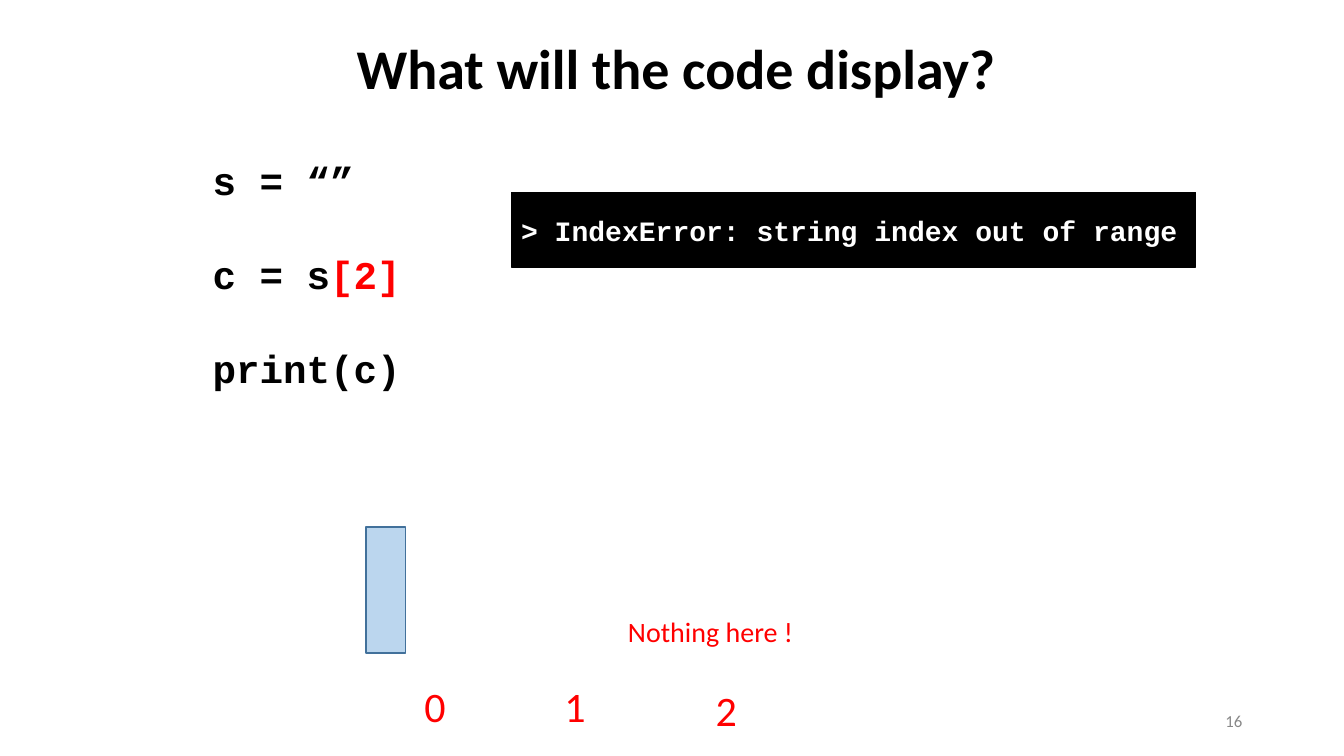
from dataclasses import dataclass

from pptx import Presentation
from pptx import util as u
from pptx.dml.color import RGBColor
from pptx.enum import shapes, text
from pptx.oxml.xmlchemy import OxmlElement

EMU_PER_PX = 9144  # 100 px to the inch


@dataclass(frozen=True)
class Theme:
    sans: str = "Calibri"
    mono: str = "Courier New"
    black: str = "000000"
    white: str = "FFFFFF"
    red: str = "FF0000"
    grey: str = "888888"
    cell_fill: str = "BBD6EE"
    cell_line: str = "42719B"
    title_size: int = 40
    index_size: int = 30
    code_size: int = 28
    note_size: int = 20
    number_size: int = 12
    code_pitch: float = 33.55


THEME = Theme()
CODE_LINES = [
    [("s = “”", THEME.black)],
    [("c = s", THEME.black), ("[2]", THEME.red)],
    [("print(c)", THEME.black)],
]
INDEX_LABELS = [("0", 411, 670), ("1", 550, 670), ("2", 700, 674)]


def px(*lengths):
    return [u.Emu(length * EMU_PER_PX) for length in lengths]


def place(placeholder, box):
    for side, length in zip(("left", "top", "width", "height"), px(*box)):
        setattr(placeholder, side, length)


def set_frame(frame, anchor=text.MSO_ANCHOR.TOP):
    settings = {
        "word_wrap": True,
        "auto_size": text.MSO_AUTO_SIZE.NONE,
        "vertical_anchor": anchor,
    }
    for name, value in settings.items():
        setattr(frame, name, value)


def add_run(paragraph, words, size, color, font=THEME.sans, bold=False):
    run = paragraph.add_run()
    run.text = words
    for name, value in {"name": font, "size": u.Pt(size), "bold": bold}.items():
        setattr(run.font, name, value)
    run.font.color.rgb = RGBColor.from_string(color)


def add_label(slide, words, box, size, color,
              align=text.PP_ALIGN.LEFT, anchor=text.MSO_ANCHOR.TOP):
    frame = slide.shapes.add_textbox(*px(*box)).text_frame
    set_frame(frame, anchor)
    frame.paragraphs[0].alignment = align
    add_run(frame.paragraphs[0], words, size, color)


def add_box(slide, box, fill, line):
    rectangle = slide.shapes.add_shape(shapes.MSO_SHAPE.RECTANGLE, *px(*box))
    rectangle.shadow.inherit = False
    rectangle.fill.solid()
    rectangle.fill.fore_color.rgb = RGBColor.from_string(fill)
    rectangle.line.color.rgb = RGBColor.from_string(line)
    rectangle.line.width = u.Pt(1)
    return rectangle


def fill_title(title, words):
    place(title, (292, 28, 757, 77))
    set_frame(title.text_frame)
    heading = title.text_frame.paragraphs[0]
    heading.alignment = text.PP_ALIGN.CENTER
    add_run(heading, words, THEME.title_size, THEME.black, bold=True)


def fill_code(body, lines):
    place(body, (201, 150, 208, 246))
    frame = body.text_frame
    set_frame(frame)
    for number, parts in enumerate(lines):
        code_line = frame.add_paragraph() if number else frame.paragraphs[0]
        properties = code_line._p.get_or_add_pPr()
        properties.set("marL", "0")
        properties.set("indent", "0")
        properties.append(OxmlElement("a:buNone"))
        code_line.space_before = u.Pt(0)
        if number:
            # One empty line's height between statements
            code_line.space_before = u.Pt(THEME.code_pitch)
            code_line.line_spacing = u.Pt(THEME.code_pitch)
        for words, color in parts:
            add_run(code_line, words, THEME.code_size, color, THEME.mono, True)


def add_console(slide, message):
    console = add_box(slide, (507, 191, 679, 74), THEME.black, THEME.black)
    set_frame(console.text_frame, text.MSO_ANCHOR.MIDDLE)
    output = console.text_frame.paragraphs[0]
    output.alignment = text.PP_ALIGN.LEFT
    add_run(output, message, THEME.note_size, THEME.white, THEME.mono, True)


def main():
    deck = Presentation()
    deck.slide_width, deck.slide_height = px(1333, 750)
    slide = deck.slides.add_slide(deck.slide_layouts[1])

    # Question and code
    fill_title(slide.shapes.title, "What will the code display?")
    fill_code(slide.placeholders[1], CODE_LINES)

    # Empty string and its index positions
    add_box(slide, (363, 523, 39, 125), THEME.cell_fill, THEME.cell_line)
    for index, left, top in INDEX_LABELS:
        add_label(slide, index, (left, top, 42, 61), THEME.index_size, THEME.red)

    # Result and explanation
    add_console(slide, "> IndexError: string index out of range")
    add_label(slide, "Nothing here !", (613, 605, 185, 44),
              THEME.note_size, THEME.red)

    # Slide number
    add_label(slide, "16", (942, 695, 300, 40), THEME.number_size, THEME.grey,
              text.PP_ALIGN.RIGHT, text.MSO_ANCHOR.MIDDLE)

    deck.save("out.pptx")


if __name__ == "__main__":
    main()
